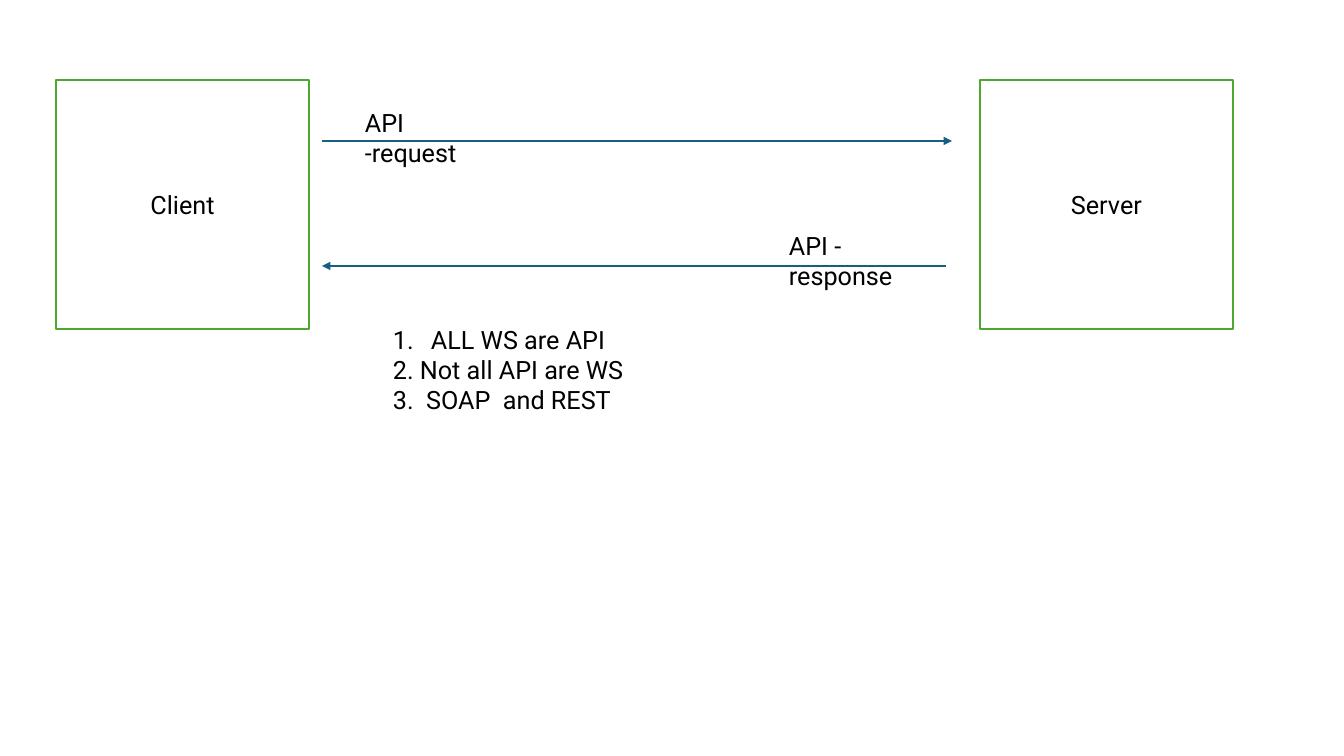
from lxml import etree
from pptx import Presentation
from pptx import util as u
from pptx.dml.color import RGBColor
from pptx.enum import shapes, text
from pptx.oxml.ns import qn

PX = 914400 / 100.8
FONT, SIZE = "Roboto", 18
INK, PAPER, GREEN, BLUE = "000000", "FFFFFF", "4EA72E", "156082"

TOP, WIDE, HIGH = 80, 253, 249
NODES = [("Client", 56), ("Server", 980)]
ARROWS = [(322, 952, 141), (946, 322, 266)]
LABELS = [("API -request", 355, 102, 154, 40), ("API - response", 779, 225, 177, 40)]
NOTES = (383, 319, 364, 163)
FACTS = [("ALL WS are API", True), ("2. Not all API are WS", False),
         ("3.  SOAP  and REST", False)]
INDENT = 38


def px(n):
    return u.Emu(round(n * PX))


def color(code):
    return RGBColor.from_string(code)


def write(para, words):
    run = para.add_run()
    run.text = words
    run.font.name = FONT
    run.font.size = u.Pt(SIZE)
    run.font.color.rgb = color(INK)


def stroke(line, code):
    line.color.rgb = color(code)
    line.width = u.Pt(1.5)


def add_node(slide, name, left):
    box = slide.shapes.add_shape(shapes.MSO_SHAPE.RECTANGLE,
                                 px(left), px(TOP), px(WIDE), px(HIGH))
    box.shadow.inherit = False
    box.fill.solid()
    box.fill.fore_color.rgb = color(PAPER)
    stroke(box.line, GREEN)
    frame = box.text_frame
    frame.vertical_anchor = text.MSO_ANCHOR.MIDDLE
    para = frame.paragraphs[0]
    para.alignment = text.PP_ALIGN.CENTER
    write(para, name)


def add_arrow(slide, start, end, y):
    arrow = slide.shapes.add_connector(shapes.MSO_CONNECTOR.STRAIGHT,
                                       px(start), px(y), px(end), px(y))
    stroke(arrow.line, BLUE)
    props = arrow.element.spPr
    etree.SubElement(props.find(qn("a:ln")), qn("a:tailEnd"), type="triangle")
    etree.SubElement(props, qn("a:effectLst"))


def add_frame(slide, *rect):
    frame = slide.shapes.add_textbox(*map(px, rect)).text_frame
    frame.word_wrap = True
    return frame


def number(para):
    props = para._p.get_or_add_pPr()
    props.set("marL", str(px(INDENT)))
    props.set("indent", str(-px(INDENT)))
    etree.SubElement(props, qn("a:buFont"), typeface=FONT)
    etree.SubElement(props, qn("a:buAutoNum"), type="arabicPeriod")


def main():
    deck = Presentation()
    deck.slide_width, deck.slide_height = px(1344), px(756)
    slide = deck.slides.add_slide(deck.slide_layouts[6])
    for name, left in NODES:
        add_node(slide, name, left)
    for start, end, y in ARROWS:
        add_arrow(slide, start, end, y)
    for words, *rect in LABELS:
        write(add_frame(slide, *rect).paragraphs[0], words)
    frame = add_frame(slide, *NOTES)
    for i, (words, auto) in enumerate(FACTS):
        para = frame.add_paragraph() if i else frame.paragraphs[0]
        if auto:
            number(para)
        write(para, words)
    deck.save("out.pptx")


if __name__ == "__main__":
    main()
